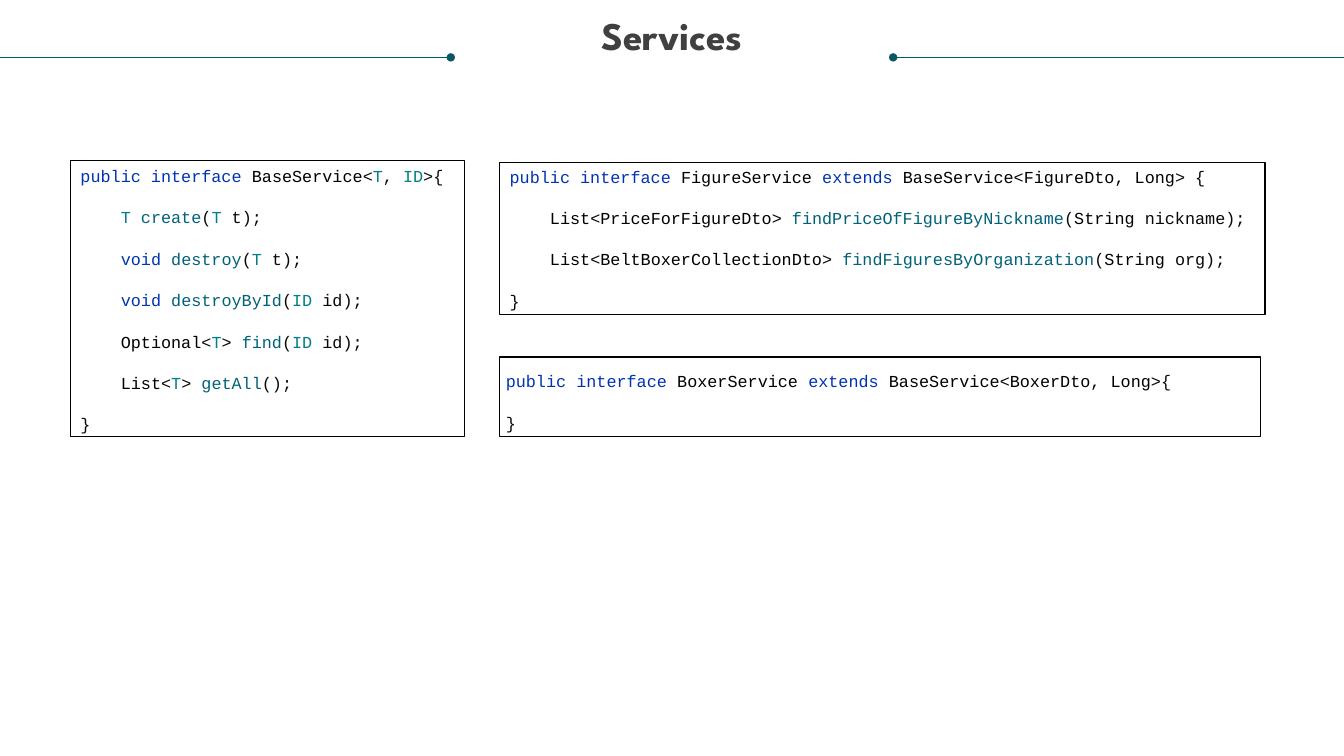
"""Build the Services slide with three Java interfaces in framed code panels."""
import pptx
import pptx.dml.color
import pptx.enum.shapes
import pptx.enum.text
import pptx.oxml.ns
import pptx.util
from lxml import etree

Pt = pptx.util.Pt
qn = pptx.oxml.ns.qn
MSO_SHAPE = pptx.enum.shapes.MSO_SHAPE
MSO_ANCHOR = pptx.enum.text.MSO_ANCHOR

COLORS = {
    "title": "404040",
    "rule": "085764",
    "panel": "FFFFFF",
    "frame": "000000",
    "keyword": "0033B3",
    "type": "000000",
    "param": "007E8A",
    "method": "00627A",
    "plain": "080808",
}
CODE_SIZE = 12
INDENT = 28.8
LINE_GAP = 15.2

BASE_SERVICE = [
    [("keyword", "public interface "), ("type", "BaseService"), ("plain", "<"),
     ("param", "T"), ("plain", ", "), ("param", "ID"), ("plain", ">{")],
    [("param", "T "), ("method", "create"), ("plain", "("), ("param", "T "), ("plain", "t);")],
    [("keyword", "void "), ("method", "destroy"), ("plain", "("), ("param", "T "), ("plain", "t);")],
    [("keyword", "void "), ("method", "destroyById"), ("plain", "("), ("param", "ID "), ("plain", "id);")],
    [("type", "Optional"), ("plain", "<"), ("param", "T"), ("plain", "> "),
     ("method", "find"), ("plain", "("), ("param", "ID "), ("plain", "id);")],
    [("type", "List"), ("plain", "<"), ("param", "T"), ("plain", "> "),
     ("method", "getAll"), ("plain", "();")],
    [("plain", "}")],
]


def child_header(name, dto, ending):
    """Return the runs that declare an interface extending BaseService."""
    return [("keyword", "public interface "), ("type", name + " "), ("keyword", "extends "),
            ("type", "BaseService"), ("plain", "<"), ("type", dto), ("plain", ", "),
            ("type", "Long"), ("plain", ending)]


def finder(dto, method, argument):
    """Return the runs of a method that lists DTOs found by a string."""
    return [("type", "List"), ("plain", "<"), ("type", dto), ("plain", "> "), ("method", method),
            ("plain", "("), ("type", "String "), ("plain", argument + ");")]


FIGURE_SERVICE = [
    child_header("FigureService", "FigureDto", "> {"),
    finder("PriceForFigureDto", "findPriceOfFigureByNickname", "nickname"),
    finder("BeltBoxerCollectionDto", "findFiguresByOrganization", "org"),
    [("plain", "}")],
]
BOXER_SERVICE = [child_header("BoxerService", "BoxerDto", ">{"), [("plain", "}")]]


def rgb(name):
    """Return a named colour."""
    return pptx.dml.color.RGBColor.from_string(COLORS[name])


def add_run(p, text, font, size, color, bold=False):
    """Append a formatted run to a paragraph."""
    r = p.add_run()
    r.text = text
    r.font.name = font
    r.font.size = Pt(size)
    r.font.bold = bold
    r.font.color.rgb = rgb(color)


def set_title(s, text):
    """Place and format the title placeholder."""
    sp = s.shapes.title
    sp.left, sp.top, sp.width, sp.height = Pt(18), Pt(11.5), Pt(924), Pt(61)
    tf = sp.text_frame
    tf.margin_left = tf.margin_right = tf.margin_top = tf.margin_bottom = 0
    tf.vertical_anchor = MSO_ANCHOR.TOP
    tf.word_wrap = True
    p = tf.paragraphs[0]
    p.alignment = pptx.enum.text.PP_ALIGN.CENTER
    p.line_spacing = 0.9
    add_run(p, text, "League Spartan", 28, "title", bold=True)


def add_rule(s, x1, x2, y):
    """Draw a thin rule from the slide edge x1 to a dot at x2."""
    cx = s.shapes.add_connector(pptx.enum.shapes.MSO_CONNECTOR.STRAIGHT, Pt(x1), Pt(y), Pt(x2), Pt(y))
    cx.line.color.rgb = rgb("rule")
    cx.line.width = Pt(0.5)
    etree.SubElement(cx.line._get_or_add_ln(), qn("a:tailEnd"), type="oval")
    etree.SubElement(cx._element.spPr, qn("a:effectLst"))


def add_rect(s, box):
    """Add a rectangle without shadow at (left, top, width, height)."""
    sp = s.shapes.add_shape(MSO_SHAPE.RECTANGLE, *map(Pt, box))
    sp.shadow.inherit = False
    return sp


def add_code(s, box, lines):
    """Add a white panel of code, with the lines inside the braces indented."""
    sp = add_rect(s, box)
    sp.fill.solid()
    sp.fill.fore_color.rgb = rgb("panel")
    sp.line.fill.background()
    tf = sp.text_frame
    tf.word_wrap = True
    tf.vertical_anchor = MSO_ANCHOR.MIDDLE
    for i, line in enumerate(lines):
        p = tf.add_paragraph() if i else tf.paragraphs[0]
        p.alignment = pptx.enum.text.PP_ALIGN.LEFT
        p.space_before = Pt(LINE_GAP if i else 0)
        if 0 < i < len(lines) - 1:
            p._p.get_or_add_pPr().set("marL", str(Pt(INDENT)))
        for kind, text in line:
            add_run(p, text, "Courier New", CODE_SIZE, kind)


def add_frame(s, box):
    """Add a black outline around a panel."""
    sp = add_rect(s, box)
    sp.fill.background()
    sp.line.color.rgb = rgb("frame")
    sp.line.width = Pt(1)


def main():
    """Build and save the slide."""
    prs = pptx.Presentation()
    prs.slide_width, prs.slide_height = Pt(960), Pt(540)
    s = prs.slides.add_slide(prs.slide_layouts[5])
    set_title(s, "Services")
    add_rule(s, 960, 638, 41)
    add_rule(s, 0, 322, 41)
    panels = [
        (BASE_SERVICE, (50.4, 116, 331, 196.6), (50.4, 114.5, 281.5, 197.3)),
        (FIGURE_SERVICE, (357, 116, 561.6, 108.7), (357, 116, 546.5, 108.7)),
        (BOXER_SERVICE, (354.2, 261.4, 510.5, 51), (357, 255, 543.6, 57)),
    ]
    for lines, code_box, frame_box in panels:
        add_code(s, code_box, lines)
        add_frame(s, frame_box)
    prs.save("out.pptx")


if __name__ == "__main__":
    main()
